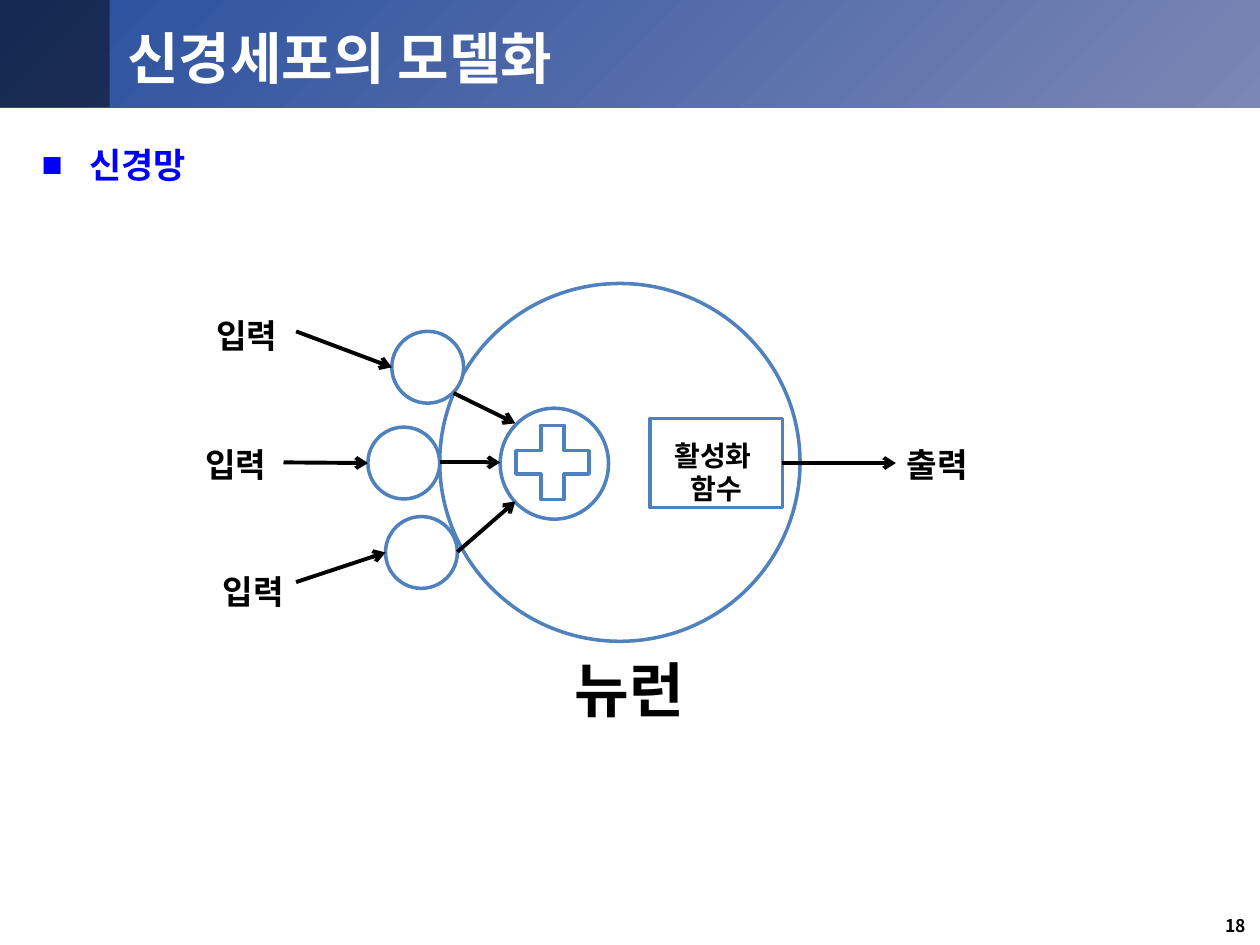
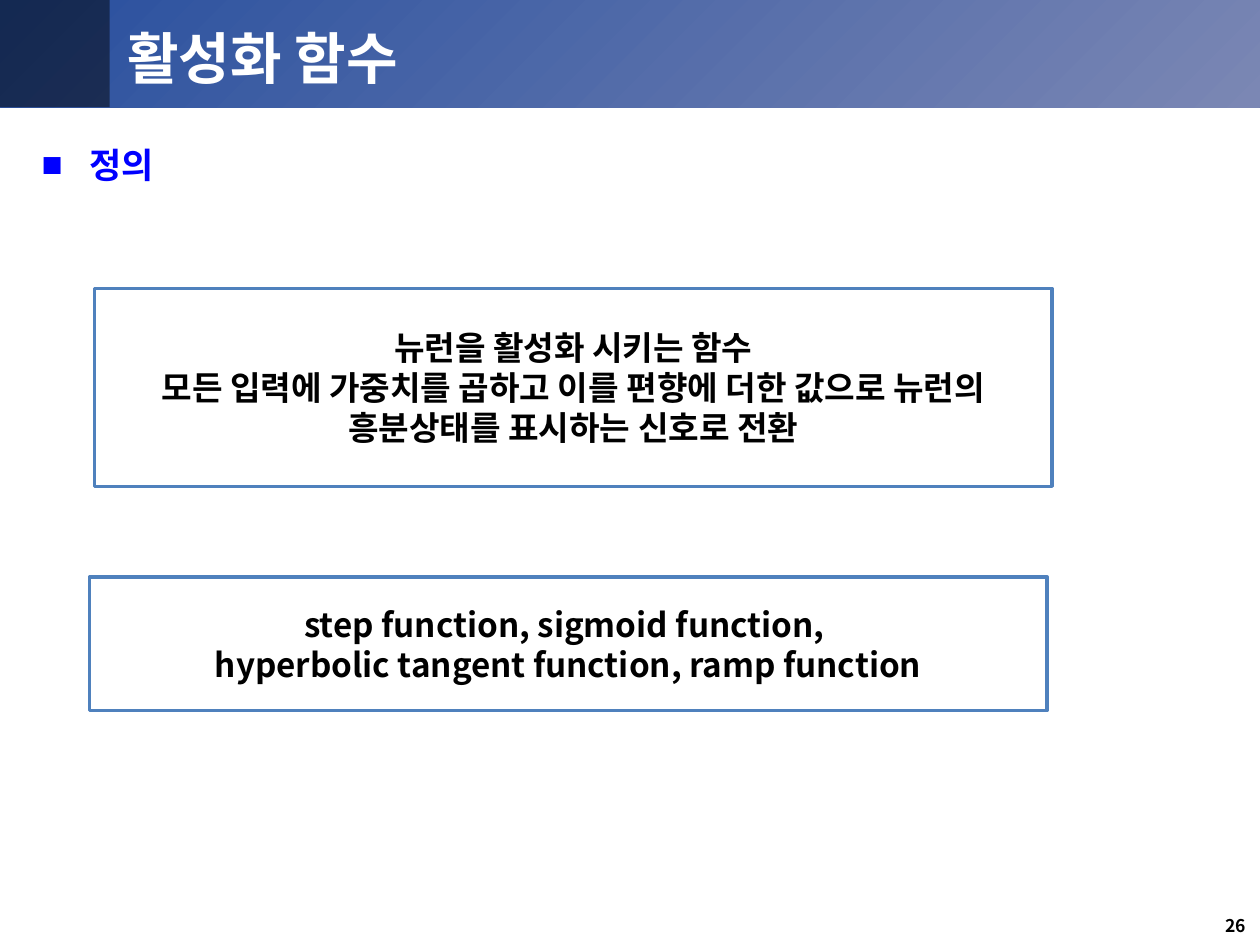
from dataclasses import dataclass

from lxml import etree
from pptx import Presentation
from pptx.dml.color import RGBColor
from pptx.enum.shapes import MSO_CONNECTOR, MSO_SHAPE
from pptx.enum.text import MSO_ANCHOR, MSO_AUTO_SIZE, PP_ALIGN
from pptx.oxml.ns import qn
from pptx.util import Inches, Pt

LEFT, CENTER, RIGHT = PP_ALIGN.LEFT, PP_ALIGN.CENTER, PP_ALIGN.RIGHT
TOP, MIDDLE = MSO_ANCHOR.TOP, MSO_ANCHOR.MIDDLE
NO_AUTOFIT = MSO_AUTO_SIZE.NONE
STRAIGHT = MSO_CONNECTOR.STRAIGHT
RECTANGLE, ELLIPSE, PLUS = MSO_SHAPE.RECTANGLE, MSO_SHAPE.OVAL, MSO_SHAPE.MATH_PLUS
RIGHT_SIDE = 3
COLUMNS, ROWS = 100, 75


@dataclass(frozen=True)
class Theme:
    font: str = "Noto Sans CJK KR"
    white: str = "FFFFFF"
    ink: str = "000000"
    heading: str = "0000FF"
    outline: str = "4F81BD"
    band_start: str = "284F9E"
    band_end: str = "7B87B4"
    title_size: int = 32
    heading_size: int = 20
    neuron_size: int = 34
    text_size: int = 19
    function_size: int = 16
    number_size: int = 10
    outline_width: float = 2
    arrow_width: float = 2.25


class SlideBuilder:
    def __init__(self, deck, theme):
        self.deck = deck
        self.theme = theme
        self.layout = deck.slide_layouts[1]
        self.slide = None

    def point(self, column, row):
        return (round(self.deck.slide_width * column / COLUMNS),
                round(self.deck.slide_height * row / ROWS))

    def place(self, left, top, width, height):
        return *self.point(left, top), *self.point(width, height)

    def start(self, title, heading, number):
        """Add a slide with its title, bulleted heading and page number."""
        first = self.slide is None
        self.slide = self.deck.slides.add_slide(self.layout)
        if first:
            self.bands()
        theme = self.theme
        title_box, body = self.slide.placeholders
        self.move(title_box, 9.1, 1.4, 88.3, 5.6)
        self.set_text(title_box, [title], theme.title_size, theme.white, LEFT, TOP)
        self.move(body, 2.3, 10.9, 94.1, 59.4)
        self.set_text(body, [heading], theme.heading_size, theme.heading, LEFT, TOP, "■")
        self.label(number, 76.6, 72.1, 23.3, 2.9, theme.number_size, RIGHT, TOP)

    def bands(self):
        """Draw the title bands and hand them to the shared layout."""
        theme = self.theme
        wide = self.shape(RECTANGLE, 0, -0.1, COLUMNS, 8.6)
        wide.fill.gradient()
        wide.fill.gradient_angle = 315
        for stop, color in zip(wide.fill.gradient_stops, (theme.band_start, theme.band_end)):
            stop.color.rgb = RGBColor.from_string(color)
        dark = self.shape(RECTANGLE, 0, -0.1, 8.7, 8.6, theme.ink)
        color = dark.element.spPr.find(qn("a:solidFill"))[0]
        etree.SubElement(color, qn("a:alpha"), val="48000")
        for index, band in enumerate((wide, dark), start=2):
            band.line.fill.background()
            self.layout.shapes.element.insert(index, band.element)

    def move(self, box, *area):
        box.left, box.top, box.width, box.height = self.place(*area)

    def set_text(self, box, lines, size, color, align=CENTER, anchor=MIDDLE, bullet=None):
        frame = box.text_frame
        frame.word_wrap = True
        frame.auto_size = NO_AUTOFIT
        frame.vertical_anchor = anchor
        frame.text = "\n".join(lines)
        for para in frame.paragraphs:
            para.alignment = align
            para.space_before = Pt(0)
            properties = para._p.get_or_add_pPr()
            if bullet:
                indent = Inches(0.38)
                properties.set("marL", str(indent))
                properties.set("indent", str(-indent))
                etree.SubElement(properties, qn("a:buChar"), char=bullet)
            font = para.font
            font.name = self.theme.font
            font.size = Pt(size)
            font.bold = True
            font.color.rgb = RGBColor.from_string(color)
            east_asian = etree.SubElement(properties.find(qn("a:defRPr")), qn("a:ea"))
            east_asian.set("typeface", self.theme.font)

    def label(self, text, left, top, width, height, size, align=CENTER, anchor=MIDDLE):
        box = self.slide.shapes.add_textbox(*self.place(left, top, width, height))
        self.set_text(box, text.split("\n"), size, self.theme.ink, align, anchor)

    def shape(self, kind, left, top, width, height, fill=None):
        theme = self.theme
        shape = self.slide.shapes.add_shape(kind, *self.place(left, top, width, height))
        shape.shadow.inherit = False
        shape.fill.solid()
        shape.fill.fore_color.rgb = RGBColor.from_string(fill or theme.white)
        shape.line.color.rgb = RGBColor.from_string(theme.outline)
        shape.line.width = Pt(theme.outline_width)
        return shape

    def text_panel(self, lines, *area):
        panel = self.shape(RECTANGLE, *area)
        self.set_text(panel, lines, self.theme.text_size, self.theme.ink)

    def arrow(self, start, end):
        arrow = self.slide.shapes.add_connector(STRAIGHT, *self.point(*start), *self.point(*end))
        arrow.line.color.rgb = RGBColor.from_string(self.theme.ink)
        arrow.line.width = Pt(self.theme.arrow_width)
        properties = arrow.element.spPr
        etree.SubElement(properties.find(qn("a:ln")), qn("a:tailEnd"), type="arrow")
        etree.SubElement(properties, qn("a:effectLst"))
        return arrow


def neuron_slide(builder):
    theme = builder.theme
    builder.start("신경세포의 모델화", "신경망", "18")
    builder.shape(ELLIPSE, 34.9, 22.5, 28.6, 28.4)
    synapse = 5.7
    label_size = (11.4, 6.2)
    # synapse corner, label corner, input start, signal start, signal end
    inputs = [
        ((31.1, 26.3), (13.9, 23.5), (23.5, 26.3), (36, 31.2), (40.9, 33.6)),
        ((29.2, 33.9), (13, 33.7), (22.5, 36.7), (34.9, 36.7), (39.7, 36.7)),
        ((30.6, 41), (14.4, 43.8), (23.5, 46.2), (36.3, 43.8), (40.9, 39.8)),
    ]
    for corner, label_corner, input_start, _, _ in inputs:
        builder.shape(ELLIPSE, *corner, synapse, synapse)
        builder.label("입력", *label_corner, *label_size, theme.text_size)
        builder.arrow(input_start, (corner[0], corner[1] + synapse / 2))
    builder.label("뉴런", 33.5, 49.5, 32.9, 10.4, theme.neuron_size)

    builder.shape(ELLIPSE, 39.7, 32.4, 8.6, 8.8)
    plus = builder.shape(PLUS, 39.9, 32.7, 7.9, 8)
    plus.adjustments[0] = 0.235
    for *_, signal_start, signal_end in inputs:
        builder.arrow(signal_start, signal_end)

    function_box = builder.shape(RECTANGLE, 51.6, 33.2, 10.5, 7.1)
    builder.label("활성화 \n함수", 43.5, 28.7, 26.7, 17.5, theme.function_size)
    builder.label("출력", 68.7, 33.7, *label_size, theme.text_size)
    output = builder.arrow((62.1, 36.75), (71.1, 36.75))
    output.begin_connect(function_box, RIGHT_SIDE)


def activation_slide(builder):
    builder.start("활성화 함수", "정의", "26")
    builder.text_panel(
        ["뉴런을 활성화 시키는 함수",
         "모든 입력에 가중치를 곱하고 이를 편향에 더한 값으로 뉴런의 흥분상태를 표시하는 신호로 전환"],
        7.5, 22.9, 76, 15.7)
    builder.text_panel(
        ["step function, sigmoid function, ",
         "hyperbolic tangent function, ramp function"],
        7.1, 45.8, 76, 10.6)


def main():
    deck = Presentation()
    deck.slide_width, deck.slide_height = Inches(10), Inches(7.5)
    builder = SlideBuilder(deck, Theme())
    neuron_slide(builder)
    activation_slide(builder)
    deck.save("out.pptx")


if __name__ == "__main__":
    main()
